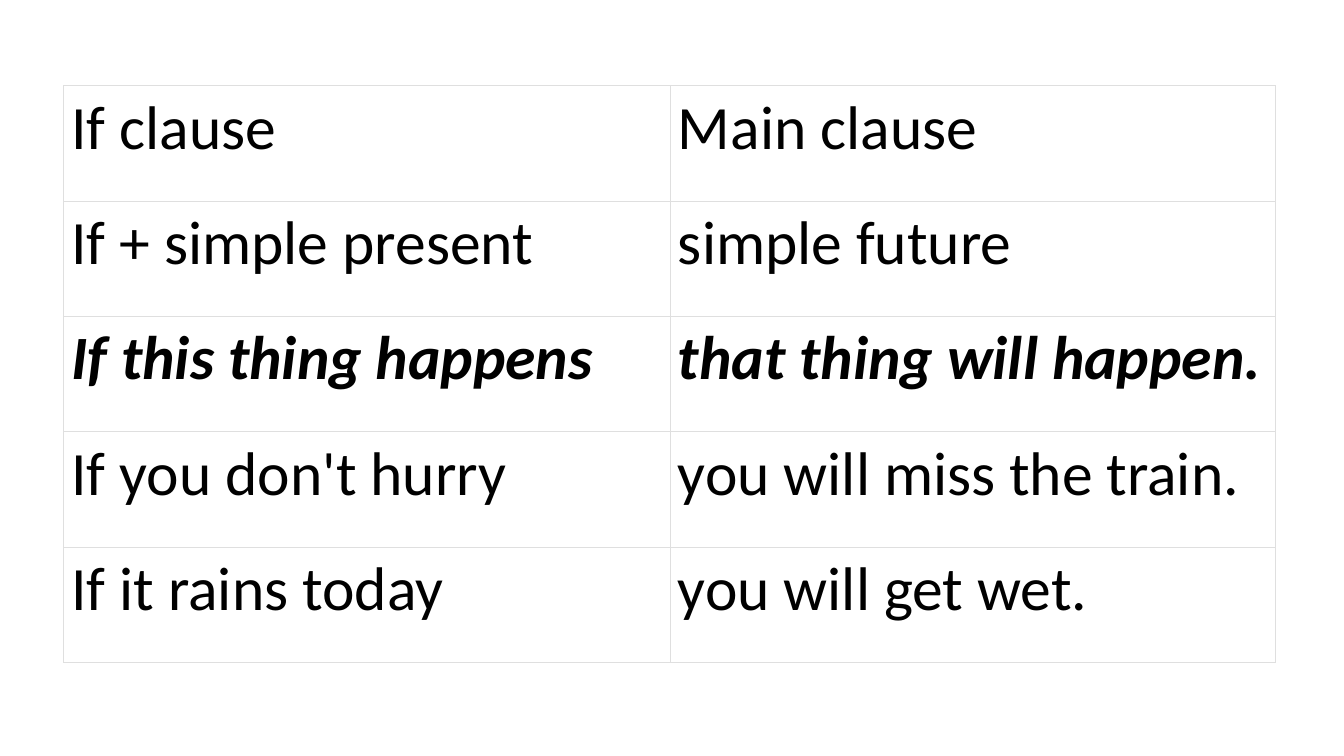
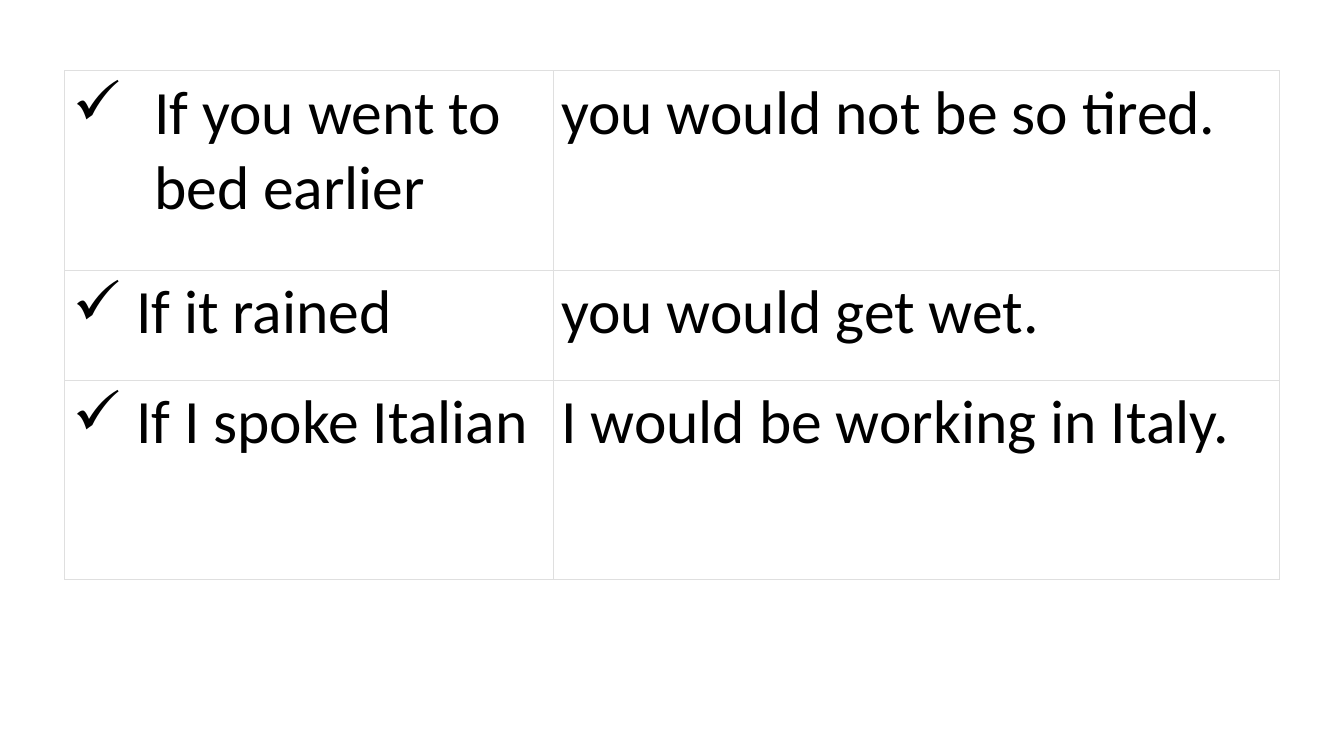
"""Build two slides of tables on conditional sentences."""
from lxml import etree
from pptx import Presentation
from pptx.dml.color import RGBColor
from pptx.oxml.ns import qn
from pptx.util import Inches, Pt

BLACK = RGBColor(0x00, 0x00, 0x00)
WHITE = RGBColor(0xFF, 0xFF, 0xFF)
BORDER_GREY = RGBColor(0xDF, 0xDF, 0xDF)
FONT_NAME = "Calibri"
FONT_SIZE = Pt(44)
BORDER_WIDTH = Pt(0.34)
BORDER_SIDES = ("a:lnL", "a:lnR", "a:lnT", "a:lnB")
SIDE_MARGIN = Inches(0.08)
EDGE_MARGIN = Inches(0.05)
BLANK_LAYOUT = 6

RULE_ROWS = [
    ("If clause", "Main clause"),
    ("If + simple present", "simple future"),
    ("If this thing happens", "that thing will happen."),
    ("If you don't hurry", "you will miss the train."),
    ("If it rains today", "you will get wet."),
]
EMPHASIS_ROW = 2
EXAMPLE_ROWS = [
    ("If you went to bed earlier", "you would not be so tired."),
    ("If it rained", "you would get wet."),
    ("If I spoke Italian", "I would be working in Italy."),
]
EXAMPLE_INDENTS = [0.81, 0.63, 0.63]


def add_color(parent, color):
    etree.SubElement(parent, qn("a:srgbClr"), val=str(color))


def add_borders(cell):
    properties = cell._tc.get_or_add_tcPr()
    for position, side in enumerate(BORDER_SIDES):
        line = etree.Element(qn(side), w=str(int(BORDER_WIDTH)))
        add_color(etree.SubElement(line, qn("a:solidFill")), BORDER_GREY)
        properties.insert(position, line)


def add_check_bullet(paragraph, indent):
    properties = paragraph._p.get_or_add_pPr()
    properties.set("marL", str(int(Inches(indent))))
    properties.set("indent", str(-int(Inches(indent))))
    add_color(etree.SubElement(properties, qn("a:buClr")), BLACK)
    etree.SubElement(properties, qn("a:buChar"), char="✓")


def fill_cell(cell, text):
    cell.text = text
    cell.margin_left = cell.margin_right = SIDE_MARGIN
    cell.margin_top = cell.margin_bottom = EDGE_MARGIN
    cell.fill.solid()
    cell.fill.fore_color.rgb = WHITE
    add_borders(cell)
    font = cell.text_frame.paragraphs[0].font
    font.name = FONT_NAME
    font.size = FONT_SIZE
    font.color.rgb = BLACK


def add_clause_table(presentation, left, top, widths, heights, rows):
    slide = presentation.slides.add_slide(presentation.slide_layouts[BLANK_LAYOUT])
    shape = slide.shapes.add_table(
        len(rows), len(widths), Inches(left), Inches(top),
        Inches(sum(widths)), Inches(sum(heights)))
    table = shape.table
    table.first_row = table.horz_banding = False
    for column, width in zip(table.columns, widths):
        column.width = Inches(width)
    for row, height, texts in zip(table.rows, heights, rows):
        row.height = Inches(height)
        for cell, text in zip(row.cells, texts):
            fill_cell(cell, text)
    return table


def build_rule_slide(presentation):
    heights = [5.72 / len(RULE_ROWS)] * len(RULE_ROWS)
    table = add_clause_table(
        presentation, 0.63, 0.85, [6.02, 6.01], heights, RULE_ROWS)
    for cell in table.rows[EMPHASIS_ROW].cells:
        font = cell.text_frame.paragraphs[0].font
        font.bold = font.italic = True


def build_example_slide(presentation):
    table = add_clause_table(
        presentation, 0.64, 0.7, [4.85, 7.21], [1.98, 1.09, 1.98], EXAMPLE_ROWS)
    for row, indent in zip(table.rows, EXAMPLE_INDENTS):
        add_check_bullet(row.cells[0].text_frame.paragraphs[0], indent)


def main():
    presentation = Presentation()
    presentation.slide_width = Inches(13.34)
    presentation.slide_height = Inches(7.5)
    build_rule_slide(presentation)
    build_example_slide(presentation)
    presentation.save("out.pptx")


if __name__ == "__main__":
    main()
